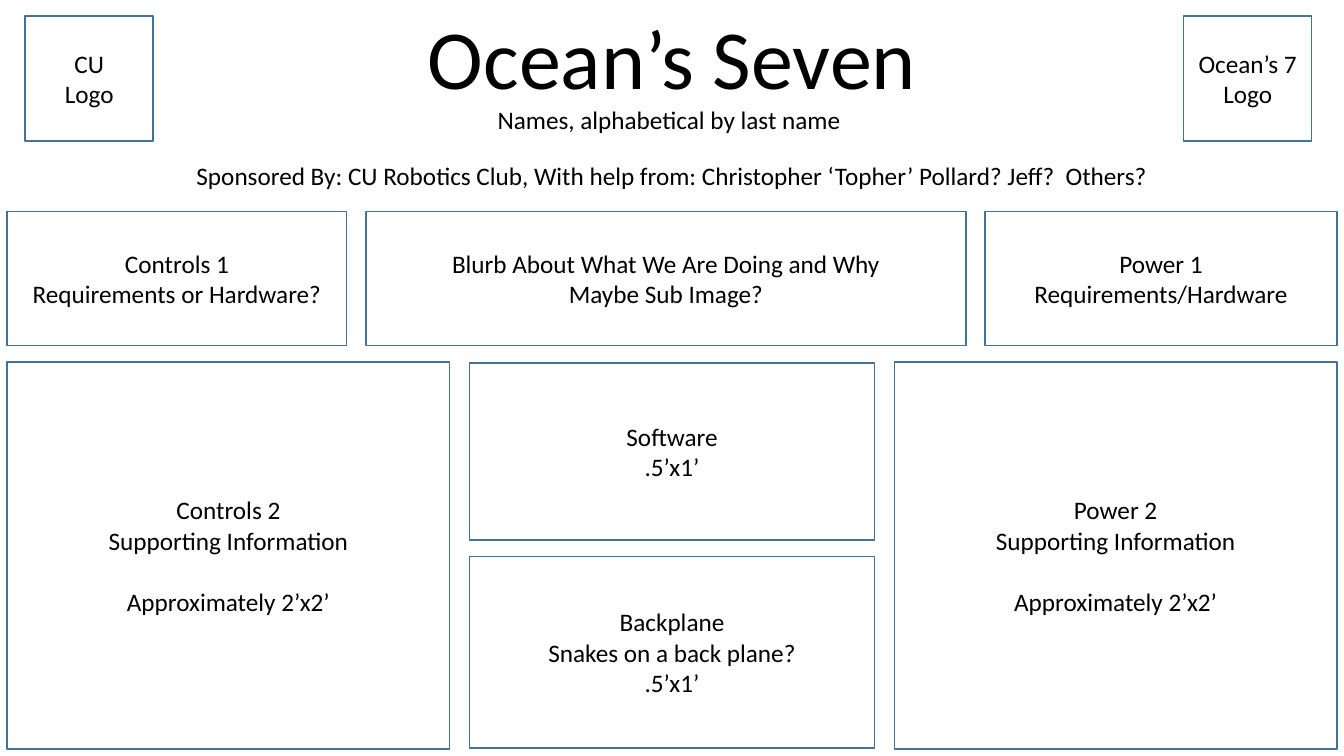
from dataclasses import dataclass

from pptx import Presentation
from pptx.dml.color import RGBColor
from pptx.enum.shapes import MSO_SHAPE
from pptx.enum.text import MSO_ANCHOR, PP_ALIGN
from pptx.util import Inches, Pt


@dataclass(frozen=True)
class Theme:
    """Colours, type sizes and line weight of the poster."""
    ink: RGBColor = RGBColor(0x00, 0x00, 0x00)
    outline: RGBColor = RGBColor(0x42, 0x71, 0x9B)
    font: str = "Calibri"
    title: int = 60
    body: int = 18
    break_space: int = 22
    line: int = 1


@dataclass(frozen=True)
class Box:
    """A rectangle in inches that can be divided into regions."""
    left: float
    top: float
    width: float
    height: float

    def inner(self, left, top, width, height):
        """Return a box placed relative to this one."""
        return Box(self.left + left, self.top + top, width, height)

    def columns(self, widths):
        """Return columns of the given widths with equal gaps between them."""
        gap = (self.width - sum(widths)) / (len(widths) - 1)
        return [self.inner(sum(widths[:i]) + i * gap, 0, width, self.height)
                for i, width in enumerate(widths)]

    def rows(self, heights):
        """Return rows of the given heights with equal gaps between them."""
        gap = (self.height - sum(heights)) / (len(heights) - 1)
        return [self.inner(0, sum(heights[:i]) + i * gap, self.width, height)
                for i, height in enumerate(heights)]

    def emu(self):
        """Return the position and size as slide lengths."""
        return [Inches(v) for v in (self.left, self.top, self.width, self.height)]


THEME = Theme()
SLIDE = Box(0, 0, 13.33, 7.5)
MARGIN = 0.07


def write(frame, lines, size):
    """Write centred lines into a text frame."""
    frame.word_wrap = True
    frame.text = "\n".join(lines)
    for paragraph in frame.paragraphs:
        paragraph.alignment = PP_ALIGN.CENTER
        for run in paragraph.runs:
            run.font.name = THEME.font
            run.font.size = Pt(size)
            run.font.color.rgb = THEME.ink


def add_heading(slide, box, line, size=THEME.body):
    """Add one centred line of text."""
    heading = slide.shapes.add_textbox(*box.emu())
    write(heading.text_frame, [line], size)


def add_panel(slide, box, *lines):
    """Add an outlined panel with centred lines and return it."""
    panel = slide.shapes.add_shape(MSO_SHAPE.RECTANGLE, *box.emu())
    panel.shadow.inherit = False
    panel.fill.background()
    panel.line.color.rgb = THEME.outline
    panel.line.width = Pt(THEME.line)
    panel.text_frame.vertical_anchor = MSO_ANCHOR.MIDDLE
    write(panel.text_frame, lines, THEME.body)
    return panel


def add_header(slide, box):
    """Place the logo panels, title, names and sponsors."""
    for left, owner in ((0.25, "CU"), (11.74, "Ocean’s 7")):
        add_panel(slide, box.inner(left, 0.16, 1.27, 1.24), owner, "Logo")
    add_heading(slide, box.inner(0, 0.01, box.width, 1.11), "Ocean’s Seven", THEME.title)
    add_heading(slide, box.inner(1.53, 0.99, 10.21, 0.4),
                "Names, alphabetical by last name")
    add_heading(slide, box.inner(0, 1.54, box.width, 0.4),
                "Sponsored By: CU Robotics Club, With help from: "
                "Christopher ‘Topher’ Pollard? Jeff?  Others?")


def add_overview(slide, box):
    """Place the row of introductory panels."""
    controls, blurb, power = box.columns([3.37, 5.95, 3.49])
    add_panel(slide, controls, "Controls 1", "Requirements or Hardware?")
    add_panel(slide, blurb, "Blurb About What We Are Doing and Why", "Maybe Sub Image?")
    add_panel(slide, power, "Power 1", "Requirements/Hardware")


def add_details(slide, box):
    """Place the supporting panels around the software and backplane stack."""
    controls, stack, power = box.columns([4.39, 4.02, 4.39])
    for place, topic in ((controls, "Controls 2"), (power, "Power 2")):
        support = add_panel(slide, place, topic, "Supporting Information",
                            "Approximately 2’x2’")
        support.text_frame.paragraphs[-1].space_before = Pt(THEME.break_space)
    software, backplane = stack.inner(0, 0.01, stack.width, 3.82).rows([1.76, 1.9])
    add_panel(slide, software, "Software", ".5’x1’")
    add_panel(slide, backplane, "Backplane", "Snakes on a back plane?", ".5’x1’")


def main():
    """Build the poster plan and save it."""
    deck = Presentation()
    deck.slide_width, deck.slide_height = Inches(SLIDE.width), Inches(SLIDE.height)
    slide = deck.slides.add_slide(deck.slide_layouts[6])
    content_width = SLIDE.width - 2 * MARGIN
    add_header(slide, SLIDE.inner(0, 0, SLIDE.width, 1.94))
    add_overview(slide, SLIDE.inner(MARGIN, 2.1, content_width, 1.33))
    add_details(slide, SLIDE.inner(MARGIN, 3.59, content_width, 3.84))
    deck.save("out.pptx")


if __name__ == "__main__":
    main()
